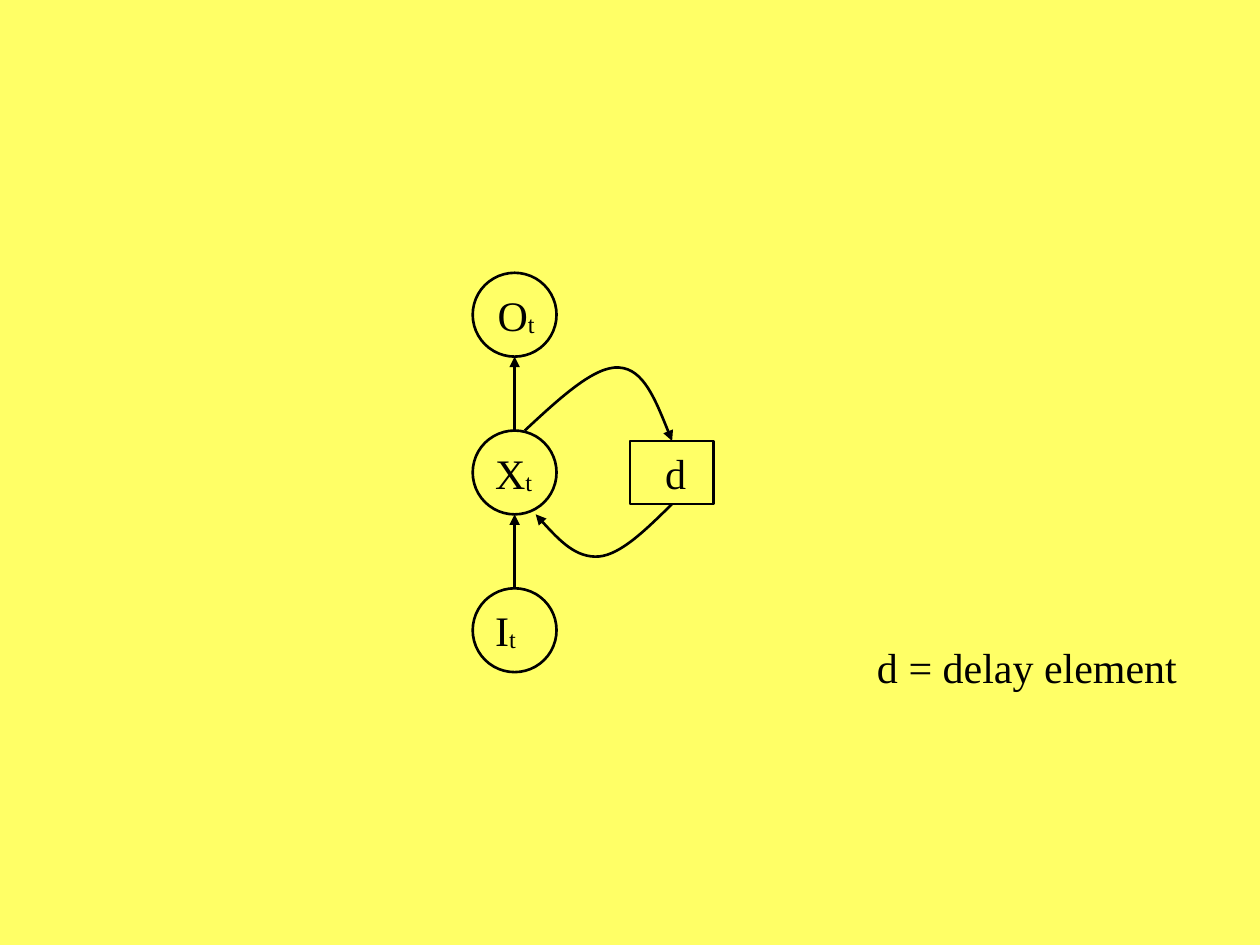
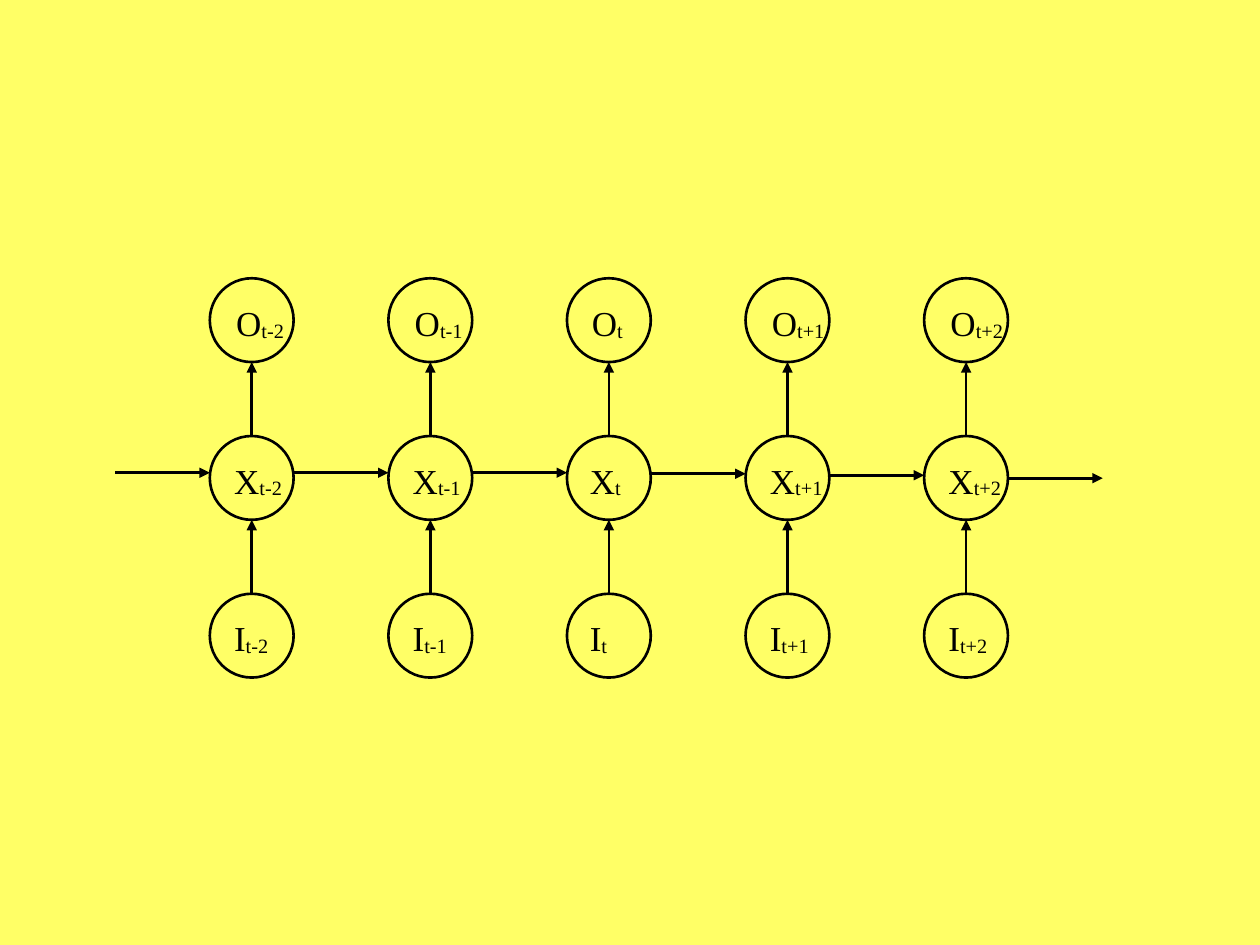
from lxml import etree
from pptx import Presentation
from pptx.dml.color import RGBColor
from pptx.enum import shapes, text
from pptx.oxml.ns import qn
from pptx.util import Cm, Pt

YELLOW = RGBColor(0xFF, 0xFF, 0x66)
BLACK = RGBColor(0, 0, 0)
FONT = "Times New Roman"
LINE_WIDTH = Pt(1.5)

# All lengths below are in centimetres.
DIAMETER = 1.69
ROW_PITCH = 3.18
STEP_PITCH = 3.6
STEP_GAP = STEP_PITCH - DIAMETER
ROWS = {"O": 0, "X": 1, "I": 2}
DRAW_ORDER = "IXO"

# Recurrent network with a delay element
NETWORK_LEFT, NETWORK_TOP = 9.53, 5.5
NETWORK_LABELS = {"I": (0.2, 0.98), "X": (0.2, 1.3), "O": (0.25, 1.3)}  # offset, width
DELAY_BOX = (12.7, 8.89, DIAMETER, 1.27)
DELAY_LABEL = ("d", 13.16, 8.89, 0.91)
LEGEND = ("d = delay element", 17.43, 12.8, 6.57)
FEEDBACK_CURVES = [
    [(10.58, 8.68), (11.28, 8.03), (11.99, 7.37), (12.48, 7.41),
     (12.98, 7.44), (13.26, 8.18), (13.55, 8.89)],
    [(13.55, 10.16), (13.03, 10.67), (12.52, 11.18), (12.07, 11.22),
     (11.61, 11.25), (11.2, 10.82), (10.8, 10.37)],
]

# Network unfolded in time
UNFOLDED_LEFT, UNFOLDED_TOP = 4.23, 5.61
STEPS = [  # subscript, label offset, width of the I label
    ("t-2", 0.24, 1.25),
    ("t-1", 0.24, 1.25),
    ("t", 0.21, 0.91),
    ("t+1", 0.24, 1.35),
    ("t+2", 0.24, 1.35),
]
WIDE_LETTER = 0.28
O_SHIFT = 0.04
STATE_ARROW_HEIGHTS = [9.53, 9.53, 9.53, 9.55, 9.58, 9.64]


def add_slide(presentation):
    slide = presentation.slides.add_slide(presentation.slide_layouts[6])
    slide.background.fill.solid()
    slide.background.fill.fore_color.rgb = YELLOW
    return slide


def style_line(shape, arrow=False):
    shape.line.color.rgb = BLACK
    shape.line.width = LINE_WIDTH
    if arrow:
        line = shape._element.spPr.find(qn("a:ln"))
        etree.SubElement(line, qn("a:tailEnd"), type="triangle")


def add_outline(parent, kind, left, top, width, height):
    shape = parent.add_shape(kind, Cm(left), Cm(top), Cm(width), Cm(height))
    shape.shadow.inherit = False
    shape.fill.background()
    style_line(shape)


def add_label(parent, label, left, top, width, size, subscript=""):
    box = parent.add_textbox(Cm(left), Cm(top), Cm(width), Pt(size * 1.2 + 7.2))
    frame = box.text_frame
    frame.word_wrap = False
    frame.auto_size = text.MSO_AUTO_SIZE.SHAPE_TO_FIT_TEXT
    paragraph = frame.paragraphs[0]
    paragraph.font.name = FONT
    paragraph.font.size = Pt(size)
    paragraph.font.color.rgb = BLACK
    paragraph.add_run().text = label
    if subscript:
        run = paragraph.add_run()
        run.text = subscript
        run._r.get_or_add_rPr().set("baseline", "-5000")


def add_arrow(parent, start, end):
    arrow = parent.add_connector(
        shapes.MSO_CONNECTOR.STRAIGHT, *(Cm(value) for value in start + end))
    style_line(arrow, arrow=True)
    etree.SubElement(arrow._element.spPr, qn("a:effectLst"))


def add_upward_arrows(parent, left, top):
    """Join X to O and I to X in one column of nodes."""
    center = left + DIAMETER / 2
    for row in (1, 2):
        start = top + row * ROW_PITCH
        add_arrow(parent, (center, start), (center, start - ROW_PITCH + DIAMETER))


def add_curved_arrow(parent, points):
    """Draw Bézier curves; each three points after the first end one curve."""
    points = [(Cm(x), Cm(y)) for x, y in points]
    builder = parent.build_freeform(*points[0])
    builder.add_line_segments(points[1:], close=False)
    curve = builder.convert_to_shape()
    curve.shadow.inherit = False
    curve.fill.background()
    style_line(curve, arrow=True)
    path = next(curve._element.iter(qn("a:path")))
    for index, segment in enumerate(path.findall(qn("a:lnTo"))):
        if index % 3 == 0:
            bezier = etree.SubElement(path, qn("a:cubicBezTo"))
        bezier.append(segment[0])
        path.remove(segment)


def add_node(parent, left, top, letter, subscript, offset, width, size, drop):
    add_outline(parent, shapes.MSO_SHAPE.OVAL, left, top, DIAMETER, DIAMETER)
    add_label(parent, letter, left + offset, top + drop, width, size, subscript)


def build_recurrent_network(presentation):
    parent = add_slide(presentation).shapes
    for letter in DRAW_ORDER:
        offset, width = NETWORK_LABELS[letter]
        top = NETWORK_TOP + ROWS[letter] * ROW_PITCH
        add_node(parent.add_group_shape().shapes, NETWORK_LEFT, top,
                 letter, "t", offset, width, size=24, drop=0.21)
    add_upward_arrows(parent, NETWORK_LEFT, NETWORK_TOP)
    add_outline(parent, shapes.MSO_SHAPE.RECTANGLE, *DELAY_BOX)
    add_label(parent, *DELAY_LABEL, size=24)
    for points in FEEDBACK_CURVES:
        add_curved_arrow(parent, points)
    add_label(parent, *LEGEND, size=24)


def build_unfolded_network(presentation):
    parent = add_slide(presentation).shapes
    for index, (subscript, offset, width) in enumerate(STEPS):
        left = UNFOLDED_LEFT + index * STEP_PITCH
        step = parent.add_group_shape().shapes
        for letter in DRAW_ORDER:
            top = UNFOLDED_TOP + ROWS[letter] * ROW_PITCH
            add_node(step, left, top, letter, subscript,
                     offset + (O_SHIFT if letter == "O" else 0),
                     width + (0 if letter == "I" else WIDE_LETTER),
                     size=20, drop=0.34)
        add_upward_arrows(step, left, UNFOLDED_TOP)
    for index, height in enumerate(STATE_ARROW_HEIGHTS):
        end = UNFOLDED_LEFT + index * STEP_PITCH
        add_arrow(parent, (end - STEP_GAP, height), (end, height))


def main():
    presentation = Presentation()
    presentation.slide_width = Cm(25.4)
    presentation.slide_height = Cm(19.05)
    build_recurrent_network(presentation)
    build_unfolded_network(presentation)
    presentation.save("out.pptx")


if __name__ == "__main__":
    main()
